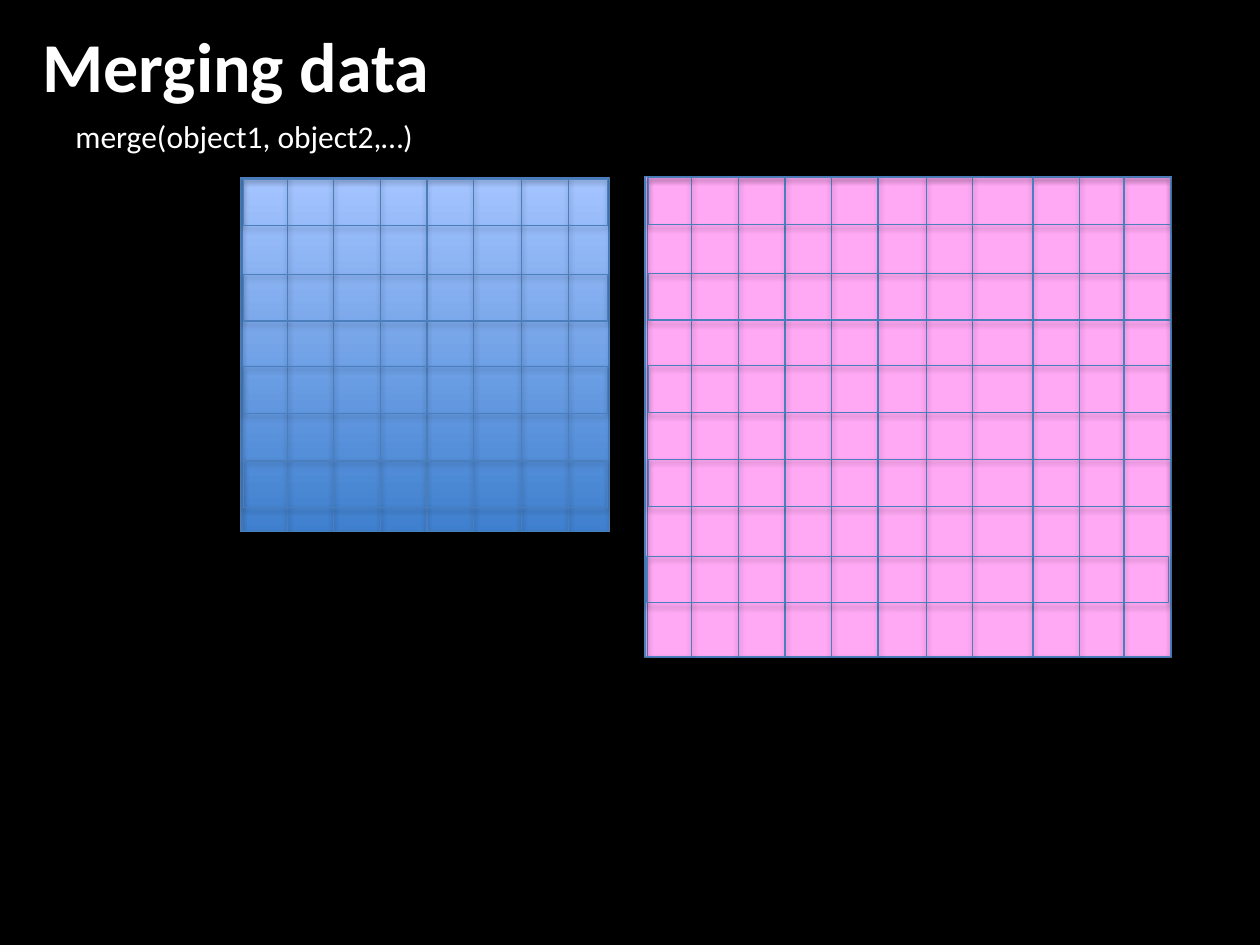
from dataclasses import dataclass

from lxml import etree
from pptx import Presentation
from pptx.dml.color import RGBColor
from pptx.enum.shapes import MSO_SHAPE
from pptx.oxml.ns import qn
from pptx.util import Inches, Pt

RECT = MSO_SHAPE.RECTANGLE
BLACK = RGBColor(0x00, 0x00, 0x00)
WHITE = RGBColor(0xFF, 0xFF, 0xFF)
EDGE = RGBColor(0x4B, 0x7E, 0xBC)
DEEP = RGBColor(0x3F, 0x80, 0xCE)
PALE = RGBColor(0xA4, 0xC4, 0xFF)
PINK = RGBColor(0xFF, 0xA8, 0xF4)

BAR = 0.37  # one grid unit: the width of a column or row, in inches
COLS = (0, 2, 4, 6.03)  # bar starts, in grid units
ROWS = (0, 2.05, 4.03, 6.05)


@dataclass(frozen=True)
class Grid:
    left: float
    top: float
    width: float
    height: float
    fills: tuple[RGBColor, ...]  # two colours make a gradient
    frame: tuple[float, float, float]  # inset, width and height of the outline
    inset: float  # start of the rows, from the left
    reach: float  # length of the rows
    more_cols: tuple[float, ...] = ()
    more_rows: tuple[float, ...] = ()


GRIDS = (
    Grid(1.91, 1.41, 2.92, 2.81, (DEEP, PALE), (0.01, 2.92, 2.81), 0.02, 2.89),
    Grid(5.12, 1.40, 4.18, 3.82, (PINK,), (0.02, 4.16, 3.81), 0.03, 4.14,
         (8.32, 10.27), (8.12,)),
)


@dataclass(frozen=True)
class Label:
    text: str
    left: float
    top: float
    width: float
    height: float
    size: int
    bold: bool = False


LABELS = (
    Label("Merging data", 0.24, 0.13, 3.32, 0.77, 40, True),
    Label("merge(object1, object2,…)", 0.5, 0.88, 2.91, 0.4, 18),
)


def cast(shape) -> None:
    """Give a shape its soft drop shadow."""
    shape.shadow.inherit = False
    effects = shape._element.spPr.find(qn("a:effectLst"))
    shade = etree.SubElement(effects, qn("a:outerShdw"), blurRad="40000",
                             dist="23000", dir="5400000", rotWithShape="0")
    tint = etree.SubElement(shade, qn("a:srgbClr"), val=str(BLACK))
    etree.SubElement(tint, qn("a:alpha"), val="35000")


def box(shapes, left: float, top: float, width: float, height: float,
        fills: tuple[RGBColor, ...] = ()):
    shape = shapes.add_shape(RECT, Inches(left), Inches(top),
                             Inches(width), Inches(height))
    if len(fills) > 1:
        shape.fill.gradient()
        shape.fill.gradient_angle = 90
        for i, (stop, color) in enumerate(zip(shape.fill.gradient_stops, fills)):
            stop.color.rgb = color
            stop.position = i
    elif fills:
        shape.fill.solid()
        shape.fill.fore_color.rgb = fills[0]
    else:
        shape.fill.background()
    shape.line.color.rgb = EDGE
    shape.line.width = Pt(0.75)
    cast(shape)
    return shape


def column(shapes, grid: Grid, start: float) -> None:
    box(shapes, grid.left + start * BAR, grid.top, BAR, grid.frame[2])


def row(shapes, grid: Grid, start: float, inset: float) -> None:
    """A column turned on its side about its centre."""
    turn = (grid.reach - BAR) / 2
    bar = box(shapes, grid.left + inset + turn,
              grid.top + 0.01 + start * BAR - turn, BAR, grid.reach)
    bar.rotation = 270


def draw(shapes, grid: Grid) -> None:
    box(shapes, grid.left, grid.top, grid.width, grid.height, grid.fills)
    inset, width, height = grid.frame
    box(shapes, grid.left + inset, grid.top, width, height)
    for start in COLS:
        column(shapes, grid, start)
    group = shapes.add_group_shape()
    for start in reversed(ROWS):
        row(group.shapes, grid, start, grid.inset)
    for start in grid.more_cols:
        column(shapes, grid, start)
    for start in grid.more_rows:
        row(shapes, grid, start, grid.inset / 2)


def write(shapes, label: Label) -> None:
    area = shapes.add_textbox(Inches(label.left), Inches(label.top),
                              Inches(label.width), Inches(label.height))
    area.text_frame.word_wrap = False
    para = area.text_frame.paragraphs[0]
    para.text = label.text
    para.font.name = "Calibri"
    para.font.size = Pt(label.size)
    para.font.bold = label.bold
    para.font.color.rgb = WHITE


def main() -> None:
    deck = Presentation()
    deck.slide_width, deck.slide_height = Inches(10), Inches(7.5)
    slide = deck.slides.add_slide(deck.slide_layouts[6])
    slide.background.fill.solid()
    slide.background.fill.fore_color.rgb = BLACK
    # Title and call
    for label in LABELS:
        write(slide.shapes, label)
    # The two data objects
    for grid in GRIDS:
        draw(slide.shapes, grid)
    deck.save("out.pptx")


if __name__ == "__main__":
    main()
